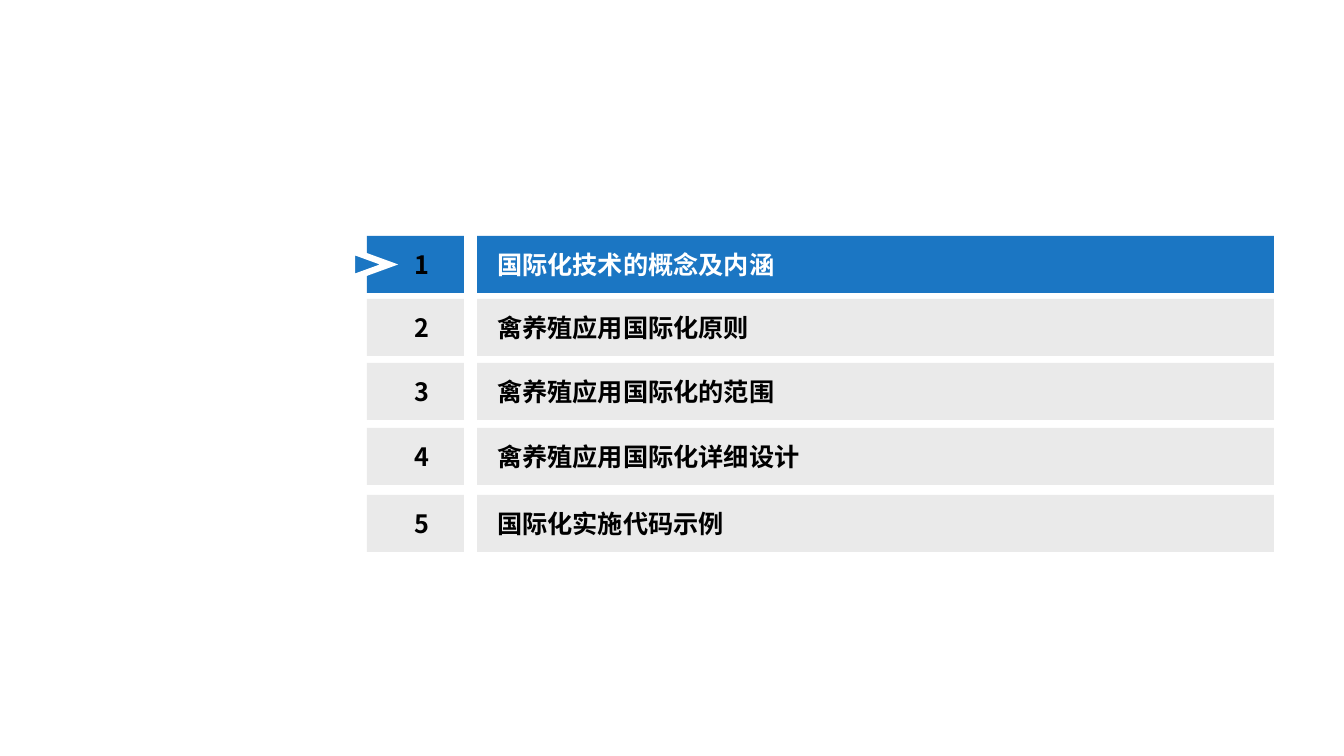
from lxml.etree import SubElement
from pptx import Presentation
from pptx.dml.color import RGBColor
from pptx.enum.shapes import MSO_SHAPE
from pptx.enum.text import MSO_ANCHOR, PP_ALIGN
from pptx.oxml.ns import qn
from pptx.util import Emu, Pt

SCALE = 914400 / 100.8
CHAPTERS = [
    (236, "国际化技术的概念及内涵"),
    (299, "禽养殖应用国际化原则"),
    (363, "禽养殖应用国际化的范围"),
    (428, "禽养殖应用国际化详细设计"),
    (495, "国际化实施代码示例"),
]


def px(length):
    return Emu(round(length * SCALE))


def colour(value):
    return RGBColor.from_string(value)


def apply(target, values):
    for name, value in values.items():
        setattr(target, name, value)


class AgendaPage:
    typeface = "Noto Sans CJK SC"
    blue, grey, black, white = "1B76C3", "EAEAEA", "000000", "FFFFFF"
    frame_format = {
        "word_wrap": True, "vertical_anchor": MSO_ANCHOR.MIDDLE,
        "margin_left": px(20), "margin_right": px(8),
        "margin_top": px(5), "margin_bottom": px(5),
    }
    font_format = {"name": typeface, "size": Pt(18), "bold": True}

    def __init__(self, deck):
        self.page = deck.slides.add_slide(deck.slide_layouts[6])

    def shape(self, kind, place, fill):
        shape = self.page.shapes.add_shape(kind, *map(px, place))
        shape.shadow.inherit = False
        shape.fill.solid()
        shape.fill.fore_color.rgb = colour(fill)
        return shape

    def bar(self, place, text, fill, ink, alignment):
        box = self.shape(MSO_SHAPE.RECTANGLE, place, fill)
        box.line.fill.background()
        apply(box.text_frame, self.frame_format)
        para = box.text_frame.paragraphs[0]
        para.alignment = alignment
        span = para.add_run()
        span.text = text
        apply(span.font, self.font_format)
        span.font.color.rgb = colour(ink)
        SubElement(span.font._element, qn("a:ea"), typeface=self.typeface)

    def pointer(self, place):
        arrow = self.shape(MSO_SHAPE.ISOSCELES_TRIANGLE, place, self.blue)
        arrow.rotation = 90
        arrow.line.color.rgb = colour(self.white)
        arrow.line.width = Pt(4.5)
        SubElement(arrow.line._ln, qn("a:miter"), lim="800000")

    def chapter(self, number, top, title, current):
        fill = self.blue if current else self.grey
        ink = self.white if current else self.black
        self.bar((367, top, 97, 57), str(number), fill, self.black, PP_ALIGN.CENTER)
        self.bar((477, top, 797, 57), title, fill, ink, PP_ALIGN.LEFT)


def main():
    deck = Presentation()
    apply(deck, {"slide_width": px(1344), "slide_height": px(756)})
    agenda = AgendaPage(deck)
    for number, (top, title) in enumerate(CHAPTERS, 1):
        agenda.chapter(number, top, title, current=number == 1)
    agenda.pointer((357, 246, 27, 37))
    deck.save("out.pptx")


if __name__ == "__main__":
    main()
